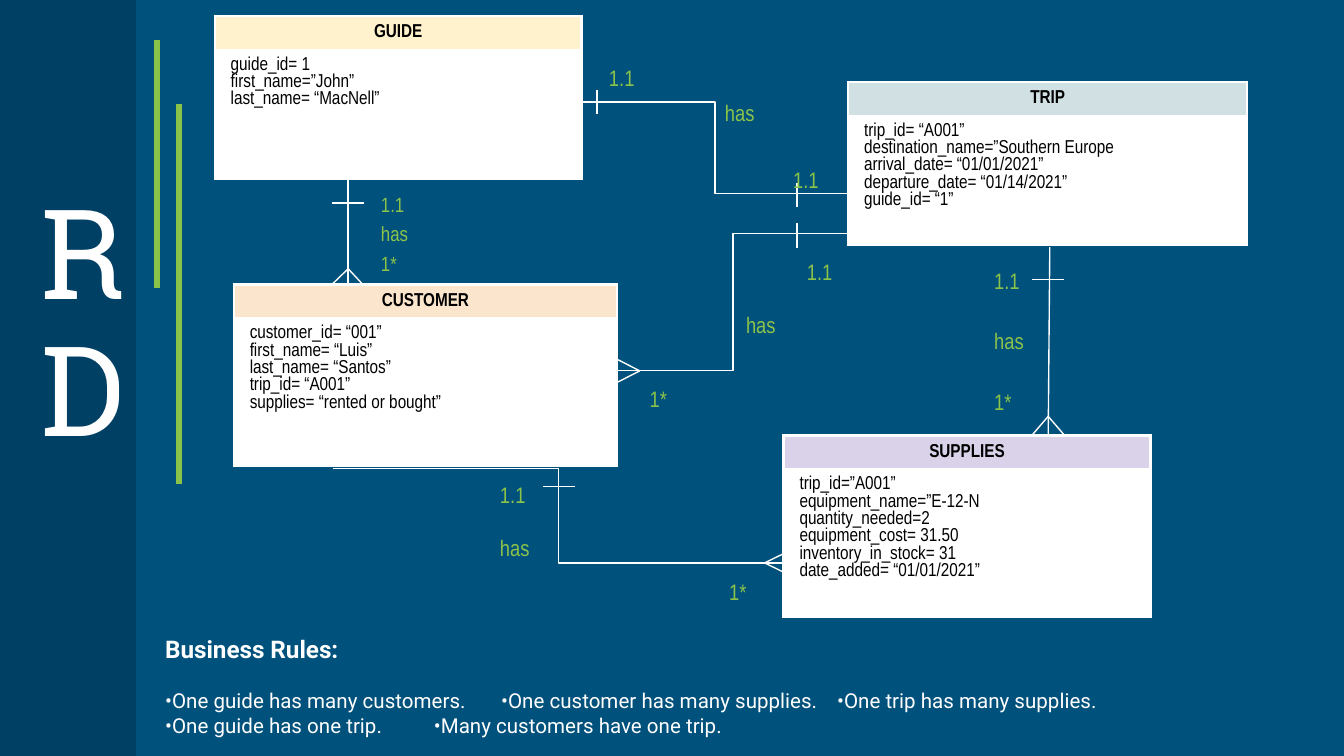
from lxml import etree
from pptx import Presentation
from pptx.dml.color import RGBColor
from pptx.enum.shapes import MSO_CONNECTOR, MSO_SHAPE
from pptx.enum.text import MSO_ANCHOR, PP_ALIGN
from pptx.oxml.ns import qn
from pptx.util import Cm, Pt

STRAIGHT, ELBOW = MSO_CONNECTOR.STRAIGHT, MSO_CONNECTOR.ELBOW
TOP, MIDDLE, BOTTOM = MSO_ANCHOR.TOP, MSO_ANCHOR.MIDDLE, MSO_ANCHOR.BOTTOM
LEFT, CENTER = PP_ALIGN.LEFT, PP_ALIGN.CENTER
WHITE, BLACK, GREEN, NAVY, BLUE = "FFFFFF", "000000", "8BC34A", "004065", "00517C"
NARROW, SANS, SLAB = "Arial Narrow", "Roboto", "Roboto Slab"
HEADER_HEIGHT = 0.64
COLUMN_PITCH = 7.62

TITLE = ["R", "D"]
ENTITIES = [
    ("CUSTOMER", "FCE5CD", (4.42, 5.38, 7.24, 2.79),
     ["customer_id= “001”", "first_name= “Luis”", "last_name= “Santos”",
      "trip_id= “A001”", "supplies= “rented or bought”"]),
    ("GUIDE", "FFF2CC", (4.06, 0.3, 6.93, 2.44),
     ["guide_id= 1", "first_name=”John”", "last_name= “MacNell”"]),
    ("TRIP", "D0E0E3", (16.03, 1.55, 7.54, 2.44),
     ["trip_id= “A001”", "destination_name=”Southern Europe",
      "arrival_date= “01/01/2021”", "departure_date= “01/14/2021”",
      "guide_id= “1”"]),
    ("SUPPLIES", "D9D2E9", (14.81, 8.23, 6.93, 2.79),
     ["trip_id=”A001”", "equipment_name=”E-12-N", "quantity_needed=2",
      "equipment_cost= 31.50", "inventory_in_stock= 31",
      "date_added= “01/01/2021”"]),
]
RELATIONS = [
    (STRAIGHT, 6.58, 3.38, 6.58, 5.36),
    (ELBOW, 16.03, 3.66, 11, 1.93),
    (ELBOW, 11.68, 7.01, 16.03, 4.42),
    (ELBOW, 6.3, 8.86, 14.81, 10.64),
    (STRAIGHT, 19.84, 4.67, 19.81, 8.23),
]
ONE_BARS = [
    (6.58, 3.84, 0.3, 0), (19.81, 5.28, 0.3, 0), (10.57, 9.19, 0.3, 0),
    (15.06, 4.45, 0, 0.23), (15.06, 3.68, 0, 0.23), (11.28, 1.93, 0, 0.23),
]
CROW_FEET = [
    (6.58, 5.08, [(-0.31, 0.3), (0.28, 0.3)]),
    (19.81, 7.87, [(-0.31, 0.36), (0.31, 0.36)]),
    (14.45, 10.64, [(0.41, -0.2), (0.41, 0.2)]),
    (12.09, 7.01, [(-0.41, -0.21), (-0.41, 0.21)]),
]
LABELS = [
    ("1.1", 11.51, 1.47, 12), ("has", 13.7, 2.12, 12), ("1.1", 14.99, 3.4, 12),
    ("1.1", 7.2, 3.86, 11), ("has", 7.2, 4.42, 11), ("1*", 7.2, 4.97, 11),
    ("1.1", 15.25, 5.14, 12), ("has", 14.1, 6.14, 12), ("1*", 12.28, 7.54, 12),
    ("1.1", 18.79, 5.31, 12), ("has", 18.79, 6.44, 12), ("1*", 18.79, 7.6, 12),
    ("1.1", 9.45, 9.34, 12), ("has", 9.45, 10.36, 12), ("1*", 13.78, 11.19, 12),
]
ACCENTS = [(2.97, 0.76, 5.44), (3.38, 1.96, 9.14)]
RULES_HEADING = "Business Rules:"
RULES = [
    ["•One guide has many customers.", "•One customer has many supplies.",
     "•One trip has many supplies."],
    ["•One guide has one trip.", "•Many customers have one trip."],
]


def color(value):
    return RGBColor.from_string(value)


def write(para, text, size=10, font=NARROW, ink=BLACK, bold=False,
          align=LEFT, spacing=None, before=0):
    para.alignment = align
    para.space_before = Pt(before)
    if spacing:
        para.line_spacing = spacing
    span = para.add_run()
    span.text = text
    span.font.size, span.font.name, span.font.bold = Pt(size), font, bold
    span.font.color.rgb = color(ink)


def write_lines(frame, lines, **style):
    for index, line in enumerate(lines):
        write(frame.add_paragraph() if index else frame.paragraphs[0], line, **style)


def place(box, left, top, width, height, inset=0.25, anchor=TOP):
    box.left, box.top, box.width, box.height = map(Cm, (left, top, width, height))
    frame = box.text_frame
    frame.word_wrap = True
    frame.vertical_anchor = anchor
    frame.margin_left = frame.margin_right = Cm(inset)
    frame.margin_top = frame.margin_bottom = Cm(inset)
    return frame


def draw_line(page, x1, y1, x2, y2, kind=STRAIGHT, ink=WHITE, weight=0.75):
    line = page.shapes.add_connector(kind, Cm(x1), Cm(y1), Cm(x2), Cm(y2))
    line.line.color.rgb = color(ink)
    line.line.width = Pt(weight)
    etree.SubElement(line._element.spPr, qn("a:effectLst"))


def style_cell(cell, fill, anchor):
    cell.margin_left = cell.margin_right = Cm(0.3)
    cell.margin_top = cell.margin_bottom = Cm(0.13)
    cell.vertical_anchor = anchor
    properties = cell._tc.get_or_add_tcPr()
    for side in ("lnL", "lnR", "lnT", "lnB"):
        border = etree.SubElement(properties, qn("a:" + side), w=str(Pt(1.5)))
        solid = etree.SubElement(border, qn("a:solidFill"))
        etree.SubElement(solid, qn("a:srgbClr"), val=WHITE)
    cell.fill.solid()
    cell.fill.fore_color.rgb = color(fill)


def draw_entity(page, name, fill, area, fields):
    left, top, width, body_height = area
    table = page.shapes.add_table(2, 1, Cm(left), Cm(top), Cm(width),
                                  Cm(HEADER_HEIGHT + body_height)).table
    table.rows[0].height, table.rows[1].height = Cm(HEADER_HEIGHT), Cm(body_height)
    header, body = table.cell(0, 0), table.cell(1, 0)
    style_cell(header, fill, MIDDLE)
    style_cell(body, WHITE, TOP)
    write_lines(header.text_frame, [name], bold=True, align=CENTER)
    write_lines(body.text_frame, fields, spacing=Pt(9.3))


def draw_rules(box):
    frame = place(box, 2.87, 11.73, 22, 2.5)
    write_lines(frame, [RULES_HEADING], size=13, font=SANS, ink=WHITE, bold=True)
    for index, row in enumerate(RULES):
        write(frame.add_paragraph(), "\t".join(row), size=11, font=SANS, ink=WHITE,
              before=0 if index else 13.5)
    for para in frame.paragraphs:
        properties = para._p.get_or_add_pPr()
        properties.set("marL", "0")
        properties.set("indent", "0")
        etree.SubElement(properties, qn("a:buNone"))
        tabs = etree.SubElement(properties, qn("a:tabLst"))
        for column in (1, 2):
            etree.SubElement(tabs, qn("a:tab"), pos=str(Cm(COLUMN_PITCH * column)), algn="l")


def main():
    deck = Presentation()
    deck.slide_width, deck.slide_height = Cm(25.4), Cm(14.29)
    page = deck.slides.add_slide(deck.slide_layouts[1])
    page.background.fill.solid()
    page.background.fill.fore_color.rgb = color(BLUE)

    band = page.shapes.add_shape(MSO_SHAPE.RECTANGLE, 0, 0, Cm(2.57), deck.slide_height)
    band.shadow.inherit = False
    band.fill.solid()
    band.fill.fore_color.rgb = color(NAVY)
    band.line.fill.background()
    band._element.getparent().insert(2, band._element)

    title = place(page.shapes.title, 0.51, 2.74, 2.06, 6.27, anchor=BOTTOM)
    write_lines(title, TITLE, size=67, font=SLAB, ink=WHITE, spacing=0.91)
    draw_rules(page.placeholders[1])

    for entity in ENTITIES:
        draw_entity(page, *entity)
    for kind, *ends in RELATIONS:
        draw_line(page, *ends, kind=kind)
    for x, y, reach_x, reach_y in ONE_BARS:
        draw_line(page, x - reach_x, y - reach_y, x + reach_x, y + reach_y)
    for x, y, toes in CROW_FEET:
        for step_x, step_y in toes:
            draw_line(page, x, y, x + step_x, y + step_y)
    for x, top, bottom in ACCENTS:
        draw_line(page, x, top, x, bottom, ink=GREEN, weight=3)
    for text, x, y, size in LABELS:
        box = page.shapes.add_textbox(0, 0, 0, 0)
        frame = place(box, x, y - 0.3, 1.2, 0.6, inset=0, anchor=MIDDLE)
        write_lines(frame, [text], size=size, ink=GREEN)

    deck.save("out.pptx")


if __name__ == "__main__":
    main()
